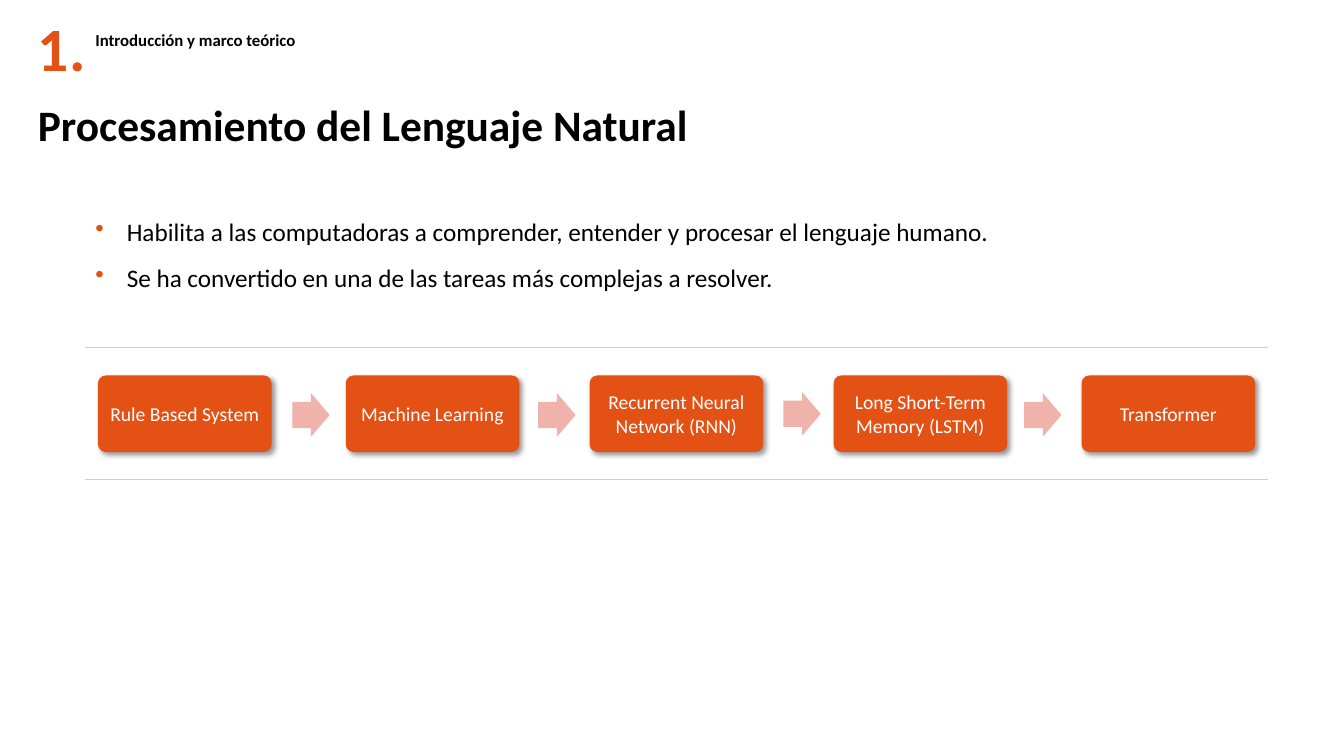
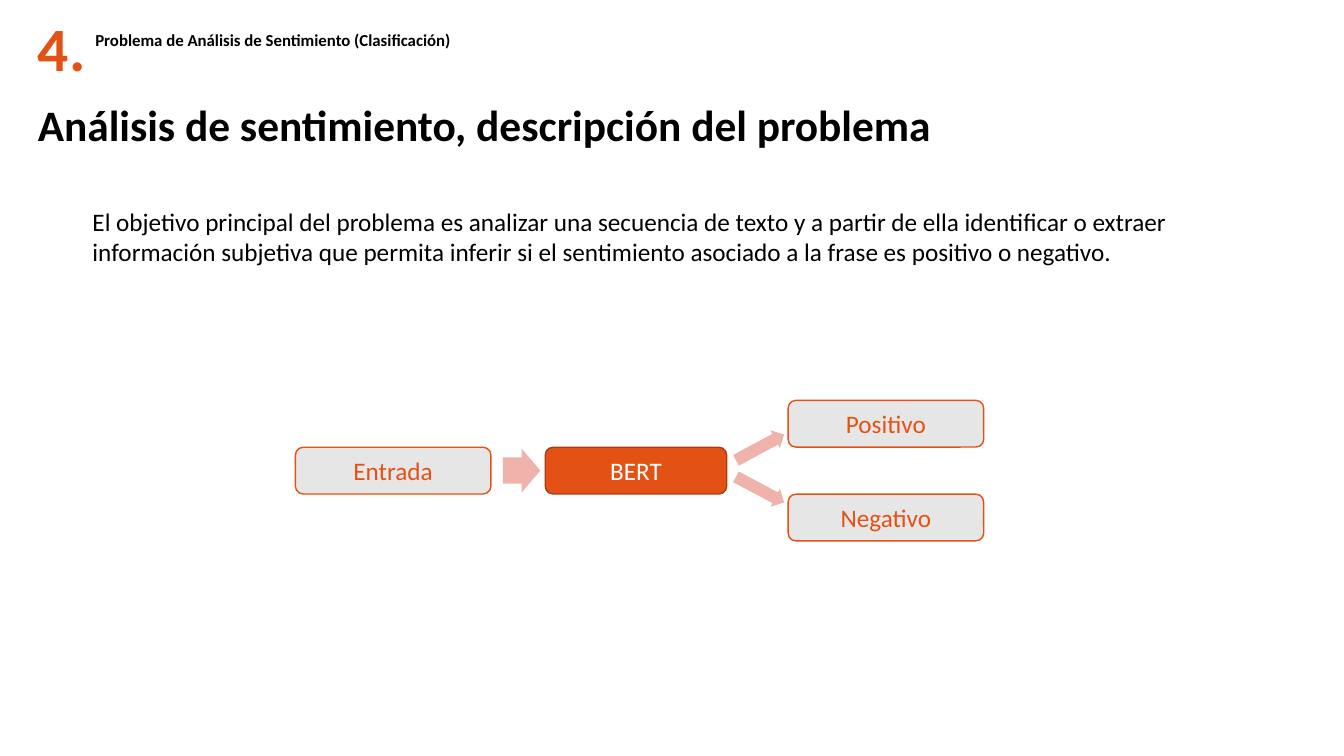
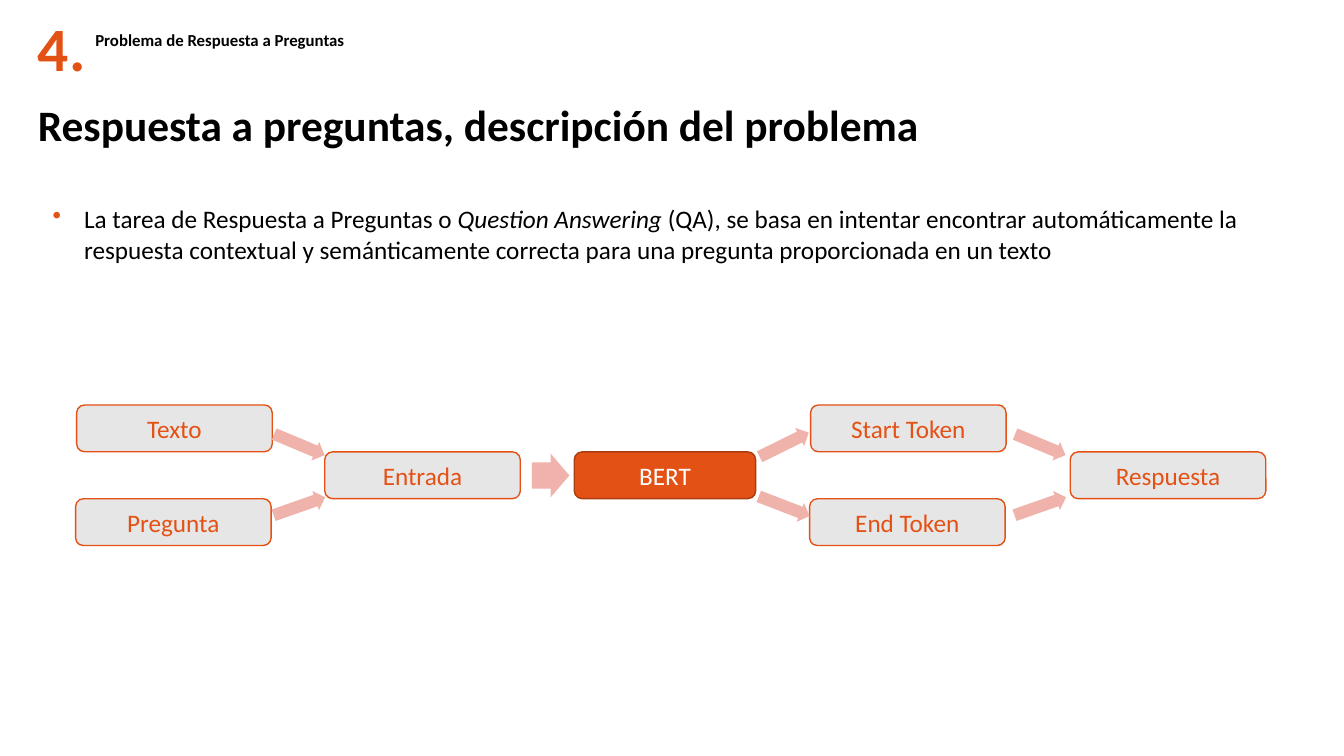
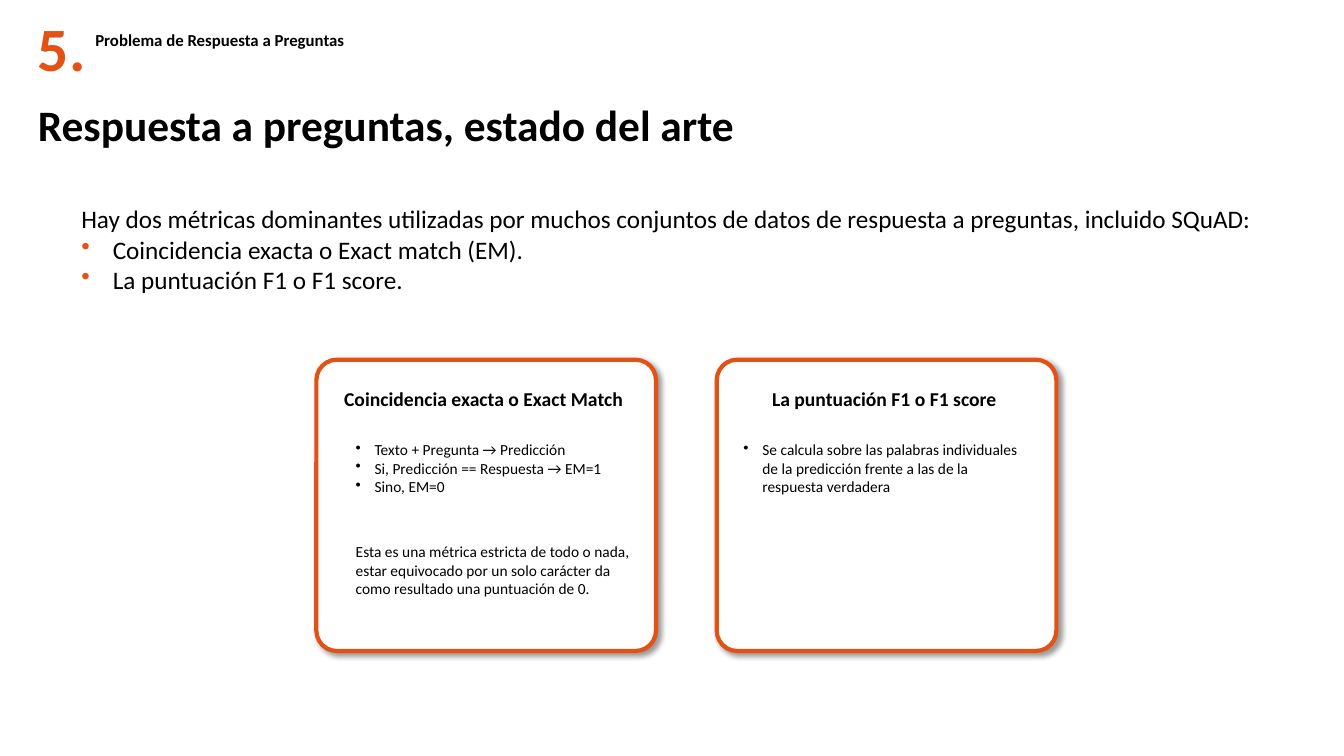
import pptx
import pptx.dml.color
import pptx.enum.shapes
import pptx.enum.text
import pptx.oxml.ns
import pptx.util
import lxml.etree

Pt = pptx.util.Pt
qn = pptx.oxml.ns.qn
sub = lxml.etree.SubElement
hue = pptx.dml.color.RGBColor.from_string
kinds = pptx.enum.shapes.MSO_SHAPE
middle = pptx.enum.text.MSO_ANCHOR.MIDDLE
center = pptx.enum.text.PP_ALIGN.CENTER

ORANGE, RUST, PINK = "E45115", "A93C10", "EFB3AC"
GRAY, RULE, BLACK, WHITE = "E7E6E6", "D0CECE", "000000", "FFFFFF"

tight = {"line_spacing": 0.9}
mid = {"vertical_anchor": middle}
axis = {"alignment": center}
TITLE = {"font": {"size": Pt(31), "bold": True}, "para": tight}
TOPIC = {"font": {"size": Pt(12), "bold": True}, "para": tight, "frame": mid}
NUMBER = {"font": {"size": Pt(44), "bold": True}, "para": tight, "frame": mid, "hue": ORANGE}
BODY = {"font": {"size": Pt(18)}, "dot": ORANGE, "indent": 22.5}
WIDE = {**BODY, "para": {"line_spacing": 1.5}}
STEP = {"font": {"size": Pt(14)}, "para": axis, "frame": mid, "hue": WHITE}
NODE = {"font": {"size": Pt(18)}, "para": axis, "frame": mid, "hue": ORANGE}
MODEL = {**NODE, "hue": WHITE}
LABEL = {"font": {"size": Pt(14), "bold": True}, "para": axis}
NOTE = {"font": {"size": Pt(11)}, "dot": BLACK, "indent": 13.5}


def draw(page, kind, box, fill, edge=None, width=1, adjust=(), spin=0, shade=False):
    shape = page.shapes.add_shape(kind, *map(Pt, box))
    shape.fill.solid()
    shape.fill.fore_color.rgb = hue(fill)
    shape.rotation = spin
    if edge:
        shape.line.color.rgb = hue(edge)
        shape.line.width = Pt(width)
    else:
        shape.line.fill.background()
    for spot, value in enumerate(adjust):
        shape.adjustments[spot] = value
    shape.shadow.inherit = False
    if shade:
        glow = sub(shape._element.spPr.find(qn("a:effectLst")), qn("a:outerShdw"),
                   blurRad=str(Pt(4)), dist=str(Pt(3)), dir="2700000", algn="tl", rotWithShape="0")
        tint = sub(glow, qn("a:srgbClr"), val=BLACK)
        sub(tint, qn("a:alpha"), val="40000")
    return shape


def write(shape, lines, look):
    frame = shape.text_frame
    frame.word_wrap = True
    for name, value in look.get("frame", {}).items():
        setattr(frame, name, value)
    for row, line in enumerate(lines):
        para = frame.add_paragraph() if row else frame.paragraphs[0]
        if line.startswith("• "):
            line = line[2:]
            props = para._p.get_or_add_pPr()
            props.set("marL", str(Pt(look["indent"])))
            props.set("indent", str(-Pt(look["indent"])))
            sub(sub(props, qn("a:buClr")), qn("a:srgbClr"), val=look["dot"])
            sub(props, qn("a:buChar"), char="•")
        for name, value in look.get("para", {}).items():
            setattr(para, name, value)
        for part, words in enumerate(line.split("*")):
            run = para.add_run()
            run.text = words
            run.font.color.rgb = hue(look.get("hue", BLACK))
            style = {"name": "Calibri", "italic": part % 2 == 1, **look["font"]}
            for name, value in style.items():
                setattr(run.font, name, value)


deck = pptx.Presentation()
deck.slide_width, deck.slide_height = Pt(960), Pt(540)

heads = [
    ("1.", "Introducción y marco teórico", "Procesamiento del Lenguaje Natural"),
    ("4.", "Problema de Análisis de Sentimiento (Clasificación)",
     "Análisis de sentimiento, descripción del problema"),
    ("4.", "Problema de Respuesta a Preguntas", "Respuesta a preguntas, descripción del problema"),
    ("5.", "Problema de Respuesta a Preguntas", "Respuesta a preguntas, estado del arte"),
]
bodies = [
    ((61, 140.5, 670, 69), WIDE, [
        "• Habilita a las computadoras a comprender, entender y procesar el lenguaje humano.",
        "• Se ha convertido en una de las tareas más complejas a resolver."]),
    ((59, 143.5, 842, 51), BODY, [
        "El objetivo principal del problema es analizar una secuencia de texto y a partir de ella "
        "identificar o extraer información subjetiva que permita inferir si el sentimiento asociado "
        "a la frase es positivo o negativo."]),
    ((30.5, 142, 879, 51), BODY, [
        "• La tarea de Respuesta a Preguntas o *Question Answering *(QA), se basa en intentar "
        "encontrar automáticamente la respuesta contextual y semánticamente correcta para una "
        "pregunta proporcionada en un texto"]),
    ((51, 142, 858, 73), BODY, [
        "Hay dos métricas dominantes utilizadas por muchos conjuntos de datos de respuesta a "
        "preguntas, incluido SQuAD:",
        "• Coincidencia exacta o Exact match (EM).",
        "• La puntuación F1 o F1 score."]),
]
pages = []
for (number, topic, title), (place, look, lines) in zip(heads, bodies):
    page = deck.slides.add_slide(deck.slide_layouts[6])
    pages.append(page)
    texts = [
        ((20, 70.5, 740, 41), [title], TITLE),
        ((61, 18, 328, 22), [topic], TOPIC),
        ((20, 23, 58, 27.5), [number], NUMBER),
        (place, lines, look),
    ]
    for box, words, style in texts:
        write(page.shapes.add_textbox(*map(Pt, box)), words, style)

page = pages[0]
for y in (248.4, 342.7):
    line = page.shapes.add_connector(pptx.enum.shapes.MSO_CONNECTOR.STRAIGHT,
                                     Pt(61), Pt(y), Pt(906), Pt(y))
    line.line.color.rgb = hue(RULE)
    line.line.width = Pt(0.5)
    sub(line._element.spPr, qn("a:effectLst"))
steps = [
    (70, "Rule Based System"),
    (247, "Machine Learning"),
    (421.2, "Recurrent Neural Network (RNN)"),
    (595.5, "Long Short-Term Memory (LSTM)"),
    (772.6, "Transformer"),
]
for x, words in steps:
    step = draw(page, kinds.ROUNDED_RECTANGLE, (x, 268.2, 124, 54.7), ORANGE,
                adjust=[0.1], shade=True)
    write(step, [words], STEP)

nodes = [
    (1, 211, 319.5, "Entrada"),
    (1, 389.5, 319.5, "BERT"),
    (1, 563, 286, "Positivo"),
    (1, 563, 353, "Negativo"),
    (2, 232, 322.8, "Entrada"),
    (2, 410.2, 322.8, "BERT"),
    (2, 54.8, 289.3, "Texto"),
    (2, 54, 356.3, "Pregunta"),
    (2, 764.5, 322.8, "Respuesta"),
    (2, 579, 289.3, "Start Token"),
    (2, 578.3, 356.3, "End Token"),
]
for index, x, y, words in nodes:
    core = words == "BERT"
    node = draw(pages[index], kinds.ROUNDED_RECTANGLE, (x, y, 129.6 if core else 139.7, 33.4),
                ORANGE if core else GRAY, RUST if core else ORANGE)
    write(node, [words], MODEL if core else NODE)

big, small = (26.7, 31.2), (39, 14.4)
arrows = [
    (0, 208.8, 280.8, big, 0),
    (0, 384.5, 280.8, big, 0),
    (0, 559.6, 280, big, 0),
    (0, 731.5, 280.8, big, 0),
    (1, 359.3, 320.5, big, 0),
    (1, 523.4, 312.4, small, 331.7),
    (1, 523.4, 342.6, small, 28),
    (2, 380, 324, big, 0),
    (2, 194.4, 310.4, small, 22.7),
    (2, 194.4, 354.4, small, 340.7),
    (2, 723.6, 310.4, small, 22.7),
    (2, 723.6, 354.4, small, 340.7),
    (2, 540.7, 310.4, small, 333.7),
    (2, 540.7, 354.4, small, 21.1),
]
for index, x, y, size, spin in arrows:
    draw(pages[index], kinds.RIGHT_ARROW, (x, y, *size), PINK, adjust=[0.6, 0.5], spin=spin)

page = pages[3]
for x in (226, 512):
    draw(page, kinds.ROUNDED_RECTANGLE, (x, 257, 242.6, 208), WHITE, ORANGE, 3, [0.07], shade=True)
notes = [
    ((234.5, 273, 222, 24.5), LABEL, ["Coincidencia exacta o Exact Match"]),
    ((536.2, 273, 191, 24.5), LABEL, ["La puntuación F1 o F1 score"]),
    ((247, 311, 196.6, 47.5), NOTE, [
        "• Texto + Pregunta → Predicción",
        "• Si, Predicción == Respuesta → EM=1",
        "• Sino, EM=0"]),
    ((524, 311, 219, 47.5), NOTE, [
        "• Se calcula sobre las palabras individuales de la predicción frente a las de la "
        "respuesta verdadera"]),
    ((247, 383.8, 221.8, 47.5), NOTE, [
        "Esta es una métrica estricta de todo o nada, estar equivocado por un solo carácter da "
        "como resultado una puntuación de 0."]),
]
for box, look, lines in notes:
    write(page.shapes.add_textbox(*map(Pt, box)), lines, look)

deck.save("out.pptx")
